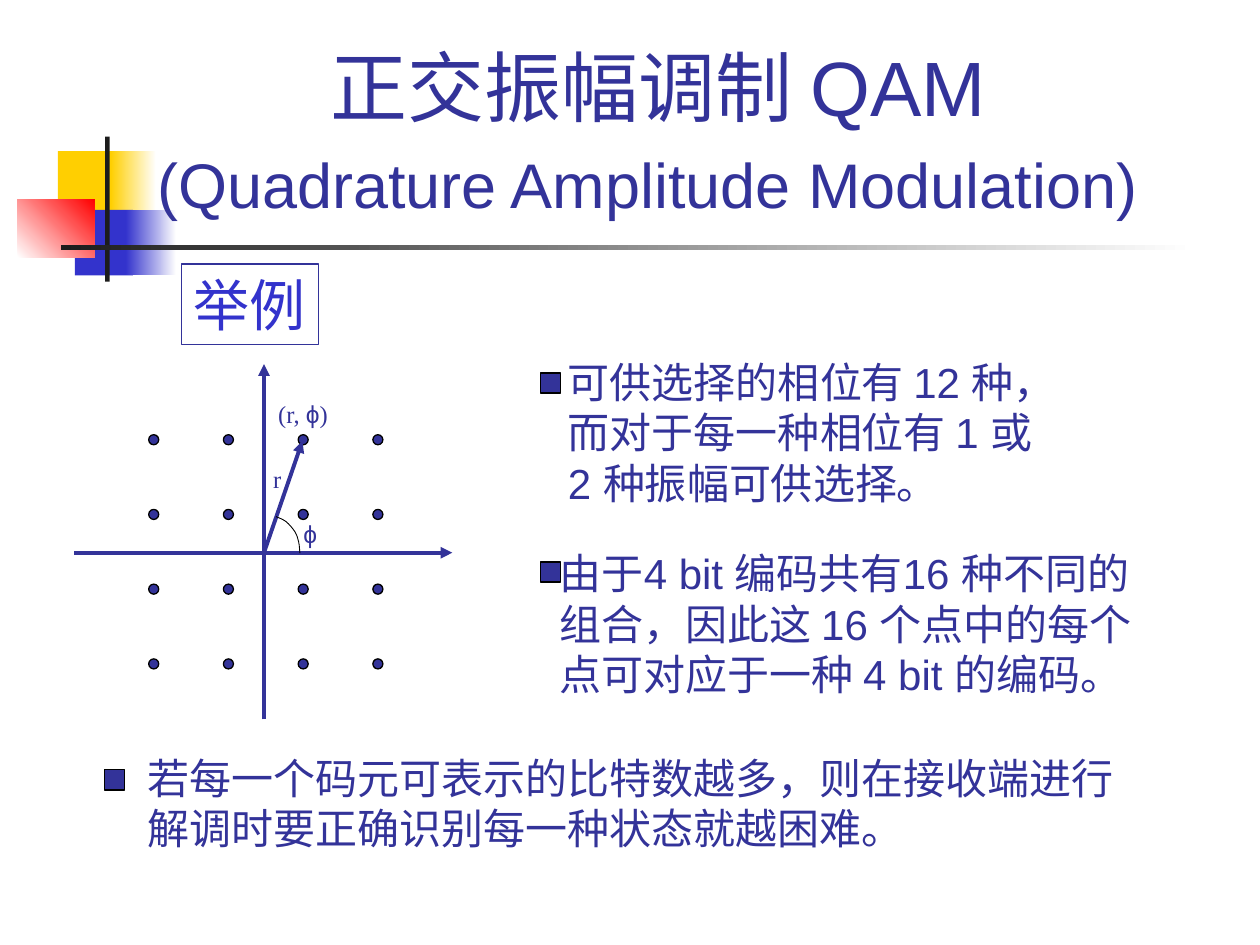
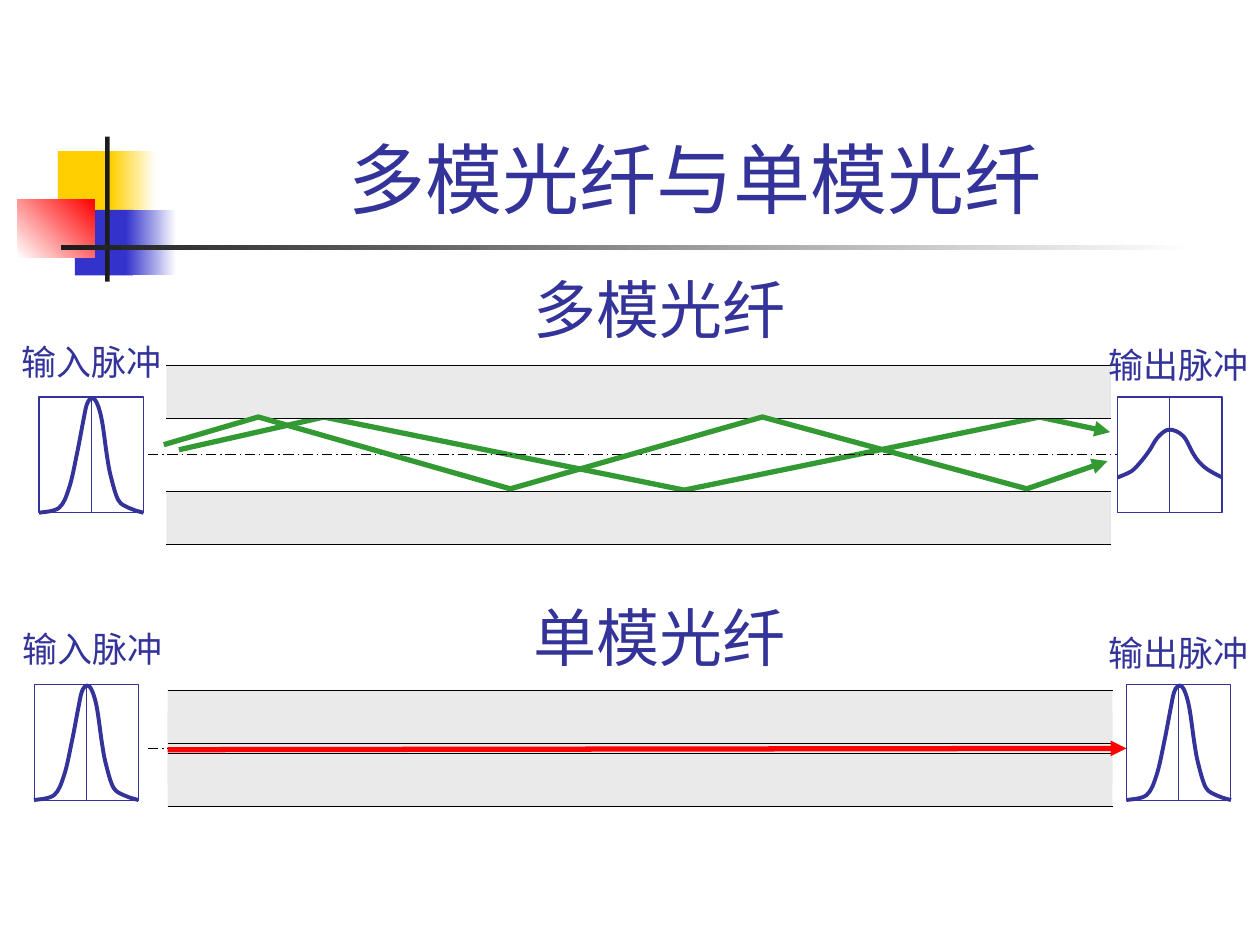
from copy import deepcopy
from dataclasses import dataclass

from pptx import Presentation
from pptx.dml.color import RGBColor
from pptx.enum.dml import MSO_LINE
from pptx.enum.shapes import MSO_CONNECTOR, MSO_SHAPE
from pptx.enum.text import MSO_ANCHOR, MSO_AUTO_SIZE, PP_ALIGN
from pptx.oxml.ns import qn
from pptx.oxml.xmlchemy import OxmlElement
from pptx.util import Inches, Pt


@dataclass(frozen=True)
class Theme:
    navy: str = "333399"
    blue: str = "3333CC"
    gold: str = "FFCF01"
    red: str = "FF0000"
    green: str = "339933"
    grey: str = "EAEAEA"
    ink: str = "1C1C1C"
    black: str = "000000"
    white: str = "FFFFFF"
    sans: str = "Arial"
    serif: str = "Times New Roman"
    han: str = "Noto Sans CJK SC"
    head: str = "Karla"
    title: int = 44
    sub: int = 36
    box: int = 32
    body: int = 24
    label: int = 20
    small: int = 14


T = Theme()
COLS, ROWS = 100, 75  # the slide is a grid of cells, 0.1 inch each
CELL = Inches(0.1)
RECT, OVAL = MSO_SHAPE.RECTANGLE, MSO_SHAPE.OVAL


def put(slide, kind, at, fill=None, line=None, width=0.75, turn=0,
        text="", size=T.body, font=T.sans, color=T.navy):
    """Add a preset shape, or a text box if kind is None; a pair as fill is a gradient."""
    place = [round(v * CELL) for v in at]
    if kind is None:
        item = slide.shapes.add_textbox(*place)
    else:
        item = slide.shapes.add_shape(kind, *place)
        item.shadow.inherit = False
        if isinstance(fill, tuple):
            item.fill.gradient()
            item.fill.gradient_angle = turn
            for stop, tone in zip(item.fill.gradient_stops, fill):
                stop.color.rgb = RGBColor.from_string(tone)
        elif fill:
            item.fill.solid()
            item.fill.fore_color.rgb = RGBColor.from_string(fill)
        else:
            item.fill.background()
        if line:
            item.line.color.rgb = RGBColor.from_string(line)
            item.line.width = Pt(width)
        else:
            item.line.fill.background()
    if text:
        frame = item.text_frame
        frame.text = text
        frame.word_wrap = False
        frame.auto_size = MSO_AUTO_SIZE.SHAPE_TO_FIT_TEXT
        frame.vertical_anchor = MSO_ANCHOR.TOP
        for para in frame.paragraphs:
            para.alignment = PP_ALIGN.LEFT
            para.line_spacing = Pt(1.2 * size)
            for run in para.runs:
                run.font.size = Pt(size)
                run.font.name = font
                run.font.color.rgb = RGBColor.from_string(color)
                east = OxmlElement("a:ea")
                east.set("typeface", T.han)
                run._r.get_or_add_rPr().append(east)
    return item


def draw(slide, dots, color=T.black, width=0.75, arrow=False, dash=None, smooth=False):
    """Join the dots: a connector for two of them, an open outline for more."""
    dots = [(round(x * CELL), round(y * CELL)) for x, y in dots]
    if len(dots) == 2:
        item = slide.shapes.add_connector(MSO_CONNECTOR.STRAIGHT, *dots[0], *dots[1])
    else:
        pen = slide.shapes.build_freeform(*dots[0])
        pen.add_line_segments(dots[1:], close=False)
        item = pen.convert_to_shape()
        item.fill.background()
    props = item._element.spPr
    if smooth:
        track = next(props.iter(qn("a:path")))
        knots = [(int(p.get("x")), int(p.get("y"))) for p in track.iter(qn("a:pt"))]
        ends = [knots[0], *knots, knots[-1]]
        legs = track.findall(qn("a:lnTo"))
        for leg, a, b, c, d in zip(legs, ends, ends[1:], ends[2:], ends[3:]):
            bend = OxmlElement("a:cubicBezTo")
            near = [b[i] + (c[i] - a[i]) / 6 for i in (0, 1)]
            far = [c[i] - (d[i] - b[i]) / 6 for i in (0, 1)]
            for x, y in (near, far, c):
                knot = OxmlElement("a:pt")
                knot.set("x", str(round(x)))
                knot.set("y", str(round(y)))
                bend.append(knot)
            track.replace(leg, bend)
    item.line.color.rgb = RGBColor.from_string(color)
    item.line.width = Pt(width)
    if dash:
        item.line.dash_style = dash
    if arrow:
        tip = OxmlElement("a:tailEnd")
        tip.set("type", "triangle")
        props.find(qn("a:ln")).append(tip)
    props.append(OxmlElement("a:effectLst"))


deck = Presentation()
deck.slide_width, deck.slide_height = COLS * CELL, ROWS * CELL

# Shared band and title: (left, text)
heads = [
    (6.7, "正交振幅调制 QAM\v(Quadrature Amplitude Modulation)"),
    (12.6, "多模光纤与单模光纤"),
]
band = [
    ((4.6, 12, 4.8, 5.2), T.gold, 0),
    ((8.8, 12, 3.6, 5.2), (T.gold, T.white), 0),
    ((5.95, 16.65, 4.6, 5.2), T.blue, 0),
    ((10, 16.65, 4, 5.2), (T.blue, T.white), 0),
    ((1.4, 15.8, 6.1, 4.65), (T.white, T.red), 45),
    ((8.35, 10.85, 0.35, 11.5), T.ink, 0),
    ((4.85, 19.45, 90, 0.4), (T.ink, T.white), 0),
]
for left, words in heads:
    slide = deck.slides.add_slide(deck.slide_layouts[6])
    for at, fill, turn in band:
        put(slide, RECT, at, fill, turn=turn)
    title = put(slide, None, (left, 2.3, 97.8 - left, 16), text=words, size=T.title)
    frame = title.text_frame
    frame.word_wrap = True
    frame.auto_size = MSO_AUTO_SIZE.NONE
    frame.vertical_anchor = MSO_ANCHOR.BOTTOM
    para = frame.paragraphs[0]
    para.alignment = PP_ALIGN.CENTER
    for run in para.runs[1:]:
        para._p.append(deepcopy(run._r))
        para.runs[-1].text = " "
        run.font.size = Pt(T.sub)

qam, fibre = deck.slides

# Slide 1: constellation
hub = (20.95, 43.87)
step = 5.93
draw(qam, [(hub[0], 57.1), (hub[0], 28.9)], T.navy, 2.25, arrow=True)
for row in range(4):
    for col in range(4):
        put(qam, OVAL, (11.8 + step * col, 34.5 + step * row, 0.8, 0.8), T.navy, T.black)
draw(qam, [(5.9, hub[1]), (35.9, hub[1])], T.navy, 2.25, arrow=True)
draw(qam, [hub, (24, 35)], T.navy, 2.25, arrow=True)
draw(qam, [(21.9, 41), (22.7, 41.4), (23.4, 42.2), (23.7, 43), (23.8, 43.9)],
     width=0.5, smooth=True)

put(qam, None, (20.7, 36.3, 2.6, 3.4), text="r", size=T.small, font=T.serif)
put(qam, None, (23.1, 40.7, 3.2, 3.4), text="ϕ", size=T.small)
point = put(qam, None, (21.1, 31.2, 6.1, 3.4), text="(r, ", size=T.small, font=T.serif)
para = point.text_frame.paragraphs[0]
for word, face in (("ϕ", T.sans), (")", T.serif)):
    para._p.append(deepcopy(para.runs[0]._r))
    para.runs[-1].text = word
    para.runs[-1].font.name = face

# Slide 1: remarks, each with its square
notes = [
    ((44.1, 27.8, 42.3, 13), (42.9, 29.6), T.sans,
     "可供选择的相位有 12 种，\n而对于每一种相位有 1 或\n2 种振幅可供选择。"),
    ((43.45, 43, 50.4, 13), (42.9, 44.6), T.sans,
     "由于4 bit 编码共有16 种不同的\n组合，因此这 16 个点中的每个\n点可对应于一种 4 bit 的编码。"),
    ((10.7, 59.2, 79, 9), (8.3, 61.1), T.han,
     "若每一个码元可表示的比特数越多，则在接收端进行\n解调时要正确识别每一种状态就越困难。"),
]
for at, mark, face, words in notes:
    put(qam, None, at, text=words, font=face)
    put(qam, RECT, (*mark, 1.6, 1.6), T.navy, T.black)
put(qam, RECT, (14.4, 20.95, 10.9, 6.4), line=T.navy,
    text="举例", size=T.box, font=T.head, color=T.blue)

# Slide 2: pulse curves, in cells from the corner of their frame
tall = [(0, 9.2), (1.6, 8.8), (2.4, 7.2), (3, 4.6), (3.5, 2), (3.8, 0.6), (4.2, 0.1),
        (4.6, 0.5), (5, 1.9), (5.4, 4.7), (5.7, 6.3), (6.3, 8.2), (7.1, 8.8),
        (7.6, 9), (8.3, 9.2)]
flat = [(0, 6.4), (1.1, 5.9), (1.8, 5.2), (2.5, 4.3), (3.2, 3.2), (4.1, 2.6),
        (5.2, 3.1), (6, 4.5), (6.5, 5.2), (7.2, 5.8), (8.3, 6.4)]
wide, high, wall, span = 8.3, 9.2, 4.2, 75

draw(fibre, [(14.2, 35.7), (25.7, 33.1), (54.3, 38.9), (82.5, 33.1), (88.1, 34.3)],
     T.green, 3, arrow=True)
put(fibre, RECT, (13.3, 56.5, span, 5.8), T.grey)

# name, name top, left, wall tops, axis, frame top, label spot, frame line, (left, curve) in and out
guides = [
    ("单模光纤", 47, 13.3, (54.8, 59.8), 59.4, 54.3, (0.8, 49.3), 0.5,
     (2.7, tall), (89.4, tall)),
    ("多模光纤", 21, 13.2, (29, 39), 36.05, 31.5, (0.7, 26.5), 0.75,
     (3.1, tall), (88.7, flat)),
]
for name, top, left, walls, axis, edge, tag, thick, enter, leave in guides:
    for y in walls:
        put(fibre, RECT, (left, y, span, wall), T.grey)
        for side in (y, y + wall):
            draw(fibre, [(left, side), (left + span, side)])
    draw(fibre, [(11.75, axis), (89.4, axis)], dash=MSO_LINE.LONG_DASH_DOT)
    for x, curve in (enter, leave):
        put(fibre, RECT, (x, edge, wide, high), T.white, T.navy, thick)
        draw(fibre, [(x + wide / 2, edge), (x + wide / 2, edge + high)], T.navy, 0.5)
        draw(fibre, [(x + dx, edge + dy) for dx, dy in curve], T.navy, 2.25, smooth=True)
    for x, y, words in ((*tag, "输入脉冲"), (87, tag[1] + 0.3, "输出脉冲")):
        put(fibre, None, (x, y, 13.1, 4.4), text=words, size=T.label, font=T.han)
    put(fibre, None, (41.35, top, 22, 7), text=name, size=T.sub, font=T.head)

draw(fibre, [(13.3, 59.5), (89.4, 59.4)], T.red, 3, arrow=True)
draw(fibre, [(13, 35.3), (20.5, 33.1), (40.5, 38.8), (60.5, 33.1), (81.5, 38.8),
             (87.9, 36.6)], T.green, 3, arrow=True)

deck.save("out.pptx")
